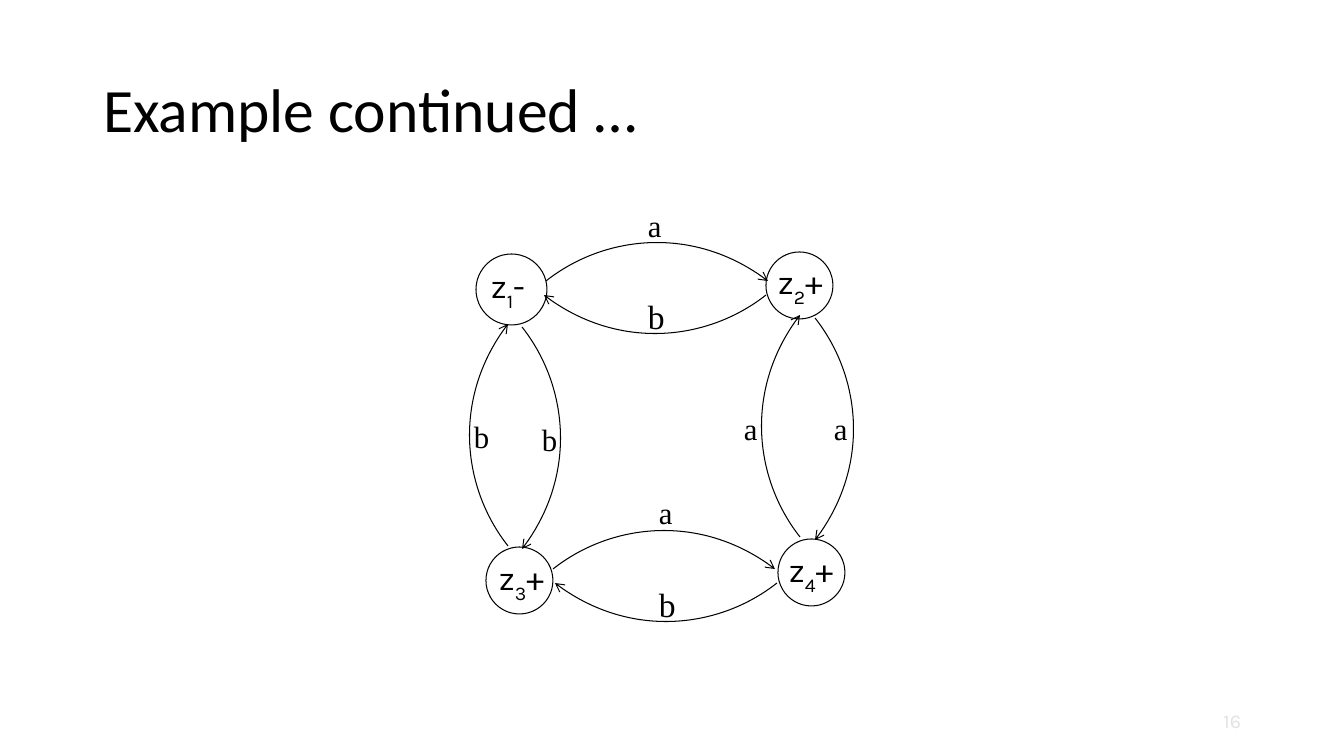
from dataclasses import dataclass

from lxml.etree import SubElement
from pptx import Presentation
from pptx.dml.color import RGBColor
from pptx.enum.shapes import MSO_SHAPE as Preset
from pptx.enum.text import MSO_ANCHOR as Anchor, MSO_AUTO_SIZE as AutoSize, PP_ALIGN as Align
from pptx.oxml.ns import qn
from pptx.util import Pt

SCALE = 914400 / 100.8


@dataclass(frozen=True)
class Theme:
    """Colours, fonts and type sizes of the slide."""
    ink: RGBColor = RGBColor(0, 0, 0)
    paper: RGBColor = RGBColor(255, 255, 255)
    faint: RGBColor = RGBColor(0xE2, 0xE2, 0xE2)
    title_font: str = "Calibri"
    state_font: str = "Karla"
    letter_font: str = "Times New Roman"
    title_size: int = 44
    state_size: int = 24
    letter_size: int = 22
    number_size: int = 14
    stroke: float = 0.75


THEME = Theme()
RIGHT, LEFT, UP, DOWN = (1, 0), (-1, 0), (0, -1), (0, 1)

STATES = [
    ((476, 254), 71, (481, 260, 70, 40), "1", "-"),
    ((766, 252), 67, (768, 256, 120, 44), "2", "+"),
    ((486, 547), 67, (489, 552, 105, 44), "3", "+"),
    ((778, 539), 67, (779, 544, 87, 42), "4", "+"),
]

TRANSITIONS = [
    ((546, 281), RIGHT, "a", (638, 202), THEME.letter_size),
    ((766, 295), LEFT, "b", (638, 291), THEME.state_size),
    ((508, 546), UP, "b", (464, 413), THEME.letter_size),
    ((522, 327), DOWN, "b", (532, 416), THEME.letter_size),
    ((553, 569), RIGHT, "a", (649, 489), THEME.letter_size),
    ((777, 583), LEFT, "b", (649, 579), THEME.state_size),
    ((800, 537), UP, "a", (734, 405), THEME.letter_size),
    ((815, 318), DOWN, "a", (824, 405), THEME.letter_size),
]


def px(length):
    """Turn pixels into EMU."""
    return round(length * SCALE)


def add_run(paragraph, text, font, size, color=THEME.ink):
    """Append one formatted run and return it."""
    run = paragraph.add_run()
    run.text = text
    run.font.name = font
    run.font.size = Pt(size)
    run.font.color.rgb = color
    return run


def add_label(slide, bounds):
    """Add a wrapping text box and return its first paragraph."""
    frame = slide.shapes.add_textbox(*map(px, bounds)).text_frame
    frame.word_wrap = True
    return frame.paragraphs[0]


def set_title(slide, text):
    """Place and fill the title placeholder."""
    title = slide.shapes.title
    title.left, title.top, title.width, title.height = map(px, (93, 40, 1159, 146))
    frame = title.text_frame
    frame.auto_size = AutoSize.NONE
    frame.vertical_anchor = Anchor.MIDDLE
    paragraph = frame.paragraphs[0]
    paragraph.alignment = Align.LEFT
    paragraph.line_spacing = 0.9
    add_run(paragraph, text, THEME.title_font, THEME.title_size)


def outline(shape):
    """Give a shape the thin ink line without a shadow."""
    shape.shadow.inherit = False
    shape.line.color.rgb = THEME.ink
    shape.line.width = Pt(THEME.stroke)


def add_state(slide, corner, diameter, label_bounds, index, sign):
    """Draw a state circle with its subscripted name and sign."""
    circle = slide.shapes.add_shape(
        Preset.OVAL, *map(px, (*corner, diameter, diameter)))
    circle.fill.solid()
    circle.fill.fore_color.rgb = THEME.paper
    outline(circle)
    name = add_label(slide, label_bounds)
    for text in ("z", index, sign):
        run = add_run(name, text, THEME.state_font, THEME.state_size)
        if text == index:
            run.font._element.set("baseline", "-30000")


def add_arc(slide, start, direction):
    """Draw a curved arrow that bulges to the left of its direction."""
    dx, dy = direction
    points = [(px(start[0] + along * dx + bulge * dy),
               px(start[1] + along * dy - bulge * dx))
              for along, bulge in ((0, 0), (57, 45), (149, 56), (222, 0))]
    builder = slide.shapes.build_freeform(*points[0])
    builder.add_line_segments(points[1:], close=False)
    arc = builder.convert_to_shape()
    arc.fill.background()
    outline(arc)
    segments = list(arc._element.iter(qn("a:lnTo")))
    curve = SubElement(segments[0].getparent(), qn("a:cubicBezTo"))
    for segment in segments:
        curve.append(segment[0])
        segment.getparent().remove(segment)
    SubElement(arc.line._get_or_add_ln(), qn("a:tailEnd"), type="arrow")


def add_transition(slide, start, direction, letter, corner, size):
    """Draw a curved arrow and the letter read along it."""
    add_arc(slide, start, direction)
    add_run(add_label(slide, (*corner, 45, 45)), letter, THEME.letter_font, size)


def add_number(slide, number):
    """Write the faint slide number at the bottom right."""
    paragraph = add_label(slide, (1151, 704, 100, 34))
    paragraph.alignment = Align.RIGHT
    add_run(paragraph, number, THEME.state_font, THEME.number_size, THEME.faint)


def main():
    """Build the automaton slide and save it."""
    deck = Presentation()
    deck.slide_width, deck.slide_height = px(1344), px(756)
    slide = deck.slides.add_slide(deck.slide_layouts[5])
    set_title(slide, "Example continued …")
    for state in STATES:
        add_state(slide, *state)
    for transition in TRANSITIONS:
        add_transition(slide, *transition)
    add_number(slide, "16")
    deck.save("out.pptx")


if __name__ == "__main__":
    main()
